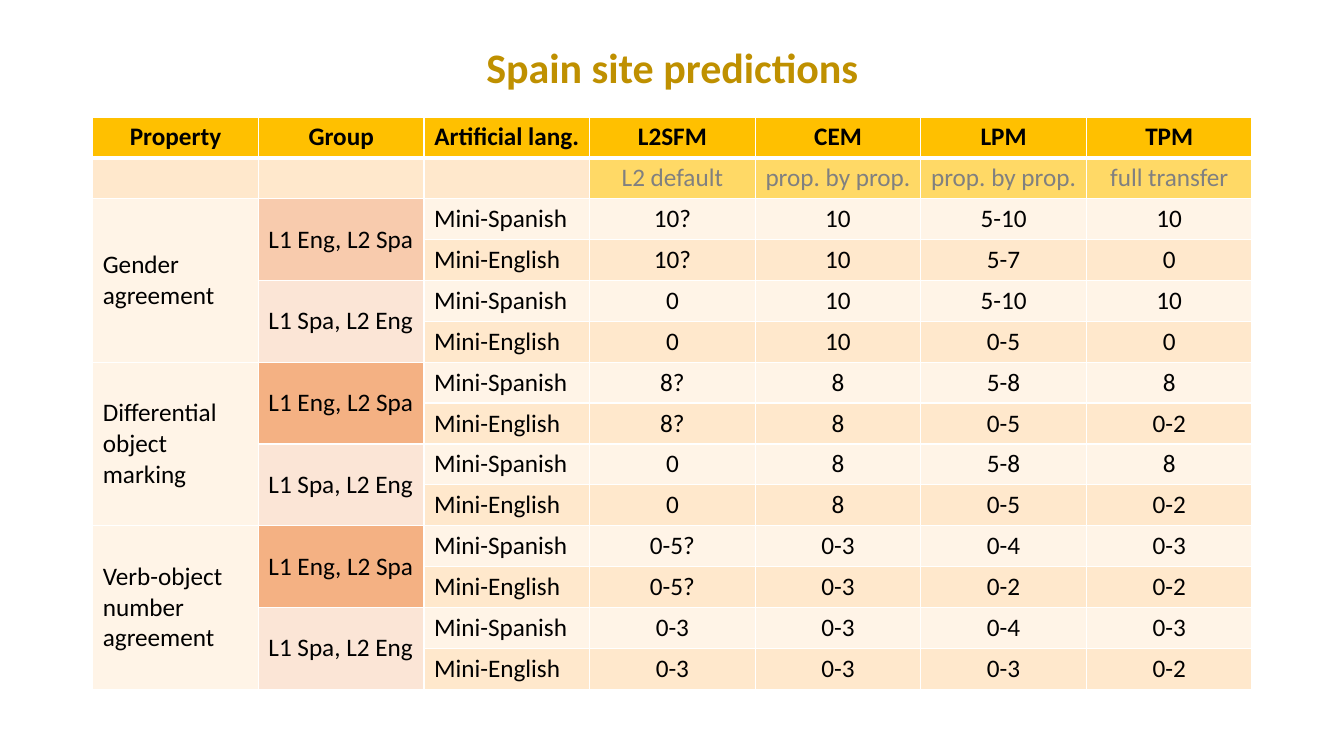
from lxml.etree import SubElement
from pptx import Presentation
from pptx.dml.color import RGBColor
from pptx.enum.text import MSO_ANCHOR as Anchor, PP_ALIGN as Align
from pptx.oxml.ns import qn
from pptx.util import Inches, Pt

FONT = "Calibri"
BLACK, GREY, WHITE, TITLE_GOLD = "000000", "808080", "FFFFFF", "BF9000"
HEADER_FILL, MODEL_FILL = "FFC000", "FFD966"
LIGHT_BAND, DARK_BAND = "FFF4E7", "FFE8CC"
PALE_GROUP, SOFT_GROUP, STRONG_GROUP = "FBE5D6", "F8CBAD", "F4B183"

HEADERS = ["Property", "Group", "Artificial lang.", "L2SFM", "CEM", "LPM", "TPM"]
MODEL_NOTES = ["L2 default", "prop. by prop.", "prop. by prop.", "full transfer"]
LANGUAGES = ["Mini-Spanish", "Mini-English"]

# Property lines, fill of the first group, scores by group and language
PROPERTIES = [
    (["Gender agreement"], SOFT_GROUP, [
        ["10?", "10", "5-10", "10"],
        ["10?", "10", "5-7", "0"],
        ["0", "10", "5-10", "10"],
        ["0", "10", "0-5", "0"],
    ]),
    (["Differential", "object", "marking"], STRONG_GROUP, [
        ["8?", "8", "5-8", "8"],
        ["8?", "8", "0-5", "0-2"],
        ["0", "8", "5-8", "8"],
        ["0", "8", "0-5", "0-2"],
    ]),
    (["Verb-object number agreement"], STRONG_GROUP, [
        ["0-5?", "0-3", "0-4", "0-3"],
        ["0-5?", "0-3", "0-2", "0-2"],
        ["0-3", "0-3", "0-4", "0-3"],
        ["0-3", "0-3", "0-3", "0-2"],
    ]),
]
ROWS, COLUMNS = 14, len(HEADERS)
LEFT, WIDTH = Inches(0.92), Inches(11.5)


def color(value):
    return RGBColor.from_string(value)


def write(frame, lines, size=18, ink=BLACK, bold=False, align=Align.LEFT):
    for index, line in enumerate(lines):
        para = frame.paragraphs[0] if index == 0 else frame.add_paragraph()
        para.alignment = align
        span = para.add_run()
        span.text = line
        span.font.name = FONT
        span.font.size = Pt(size)
        span.font.bold = bold
        span.font.color.rgb = color(ink)


def fill_cell(cell, value):
    cell.fill.solid()
    cell.fill.fore_color.rgb = color(value)


def add_borders(cell, top=1, bottom=1):
    properties = cell._tc.get_or_add_tcPr()
    widths = {"a:lnL": 1, "a:lnR": 1, "a:lnT": top, "a:lnB": bottom}
    for index, (side, width) in enumerate(widths.items()):
        line = SubElement(properties, qn(side), w=str(Pt(width)))
        paint = SubElement(line, qn("a:solidFill"))
        SubElement(paint, qn("a:srgbClr"), val=WHITE)
        properties.insert(index, line)


def merge_down(table, row, column, count, lines, fill):
    cell = table.cell(row, column)
    cell.merge(table.cell(row + count - 1, column))
    cell.vertical_anchor = Anchor.MIDDLE
    fill_cell(cell, fill)
    write(cell.text_frame, lines)


def add_title(slide, text):
    box = slide.shapes.add_textbox(LEFT, Inches(0.36), WIDTH, Inches(0.61))
    box.text_frame.word_wrap = True
    write(box.text_frame, [text], 30, TITLE_GOLD, True, Align.CENTER)


def add_grid(slide):
    height = Inches(5.68)
    table = slide.shapes.add_table(ROWS, COLUMNS, LEFT, Inches(1.16), WIDTH, height).table
    table.first_row = table.horz_banding = False
    for column in table.columns:
        column.width = WIDTH // COLUMNS
    for index, row in enumerate(table.rows):
        row.height = height // ROWS
        for cell in row.cells:
            fill_cell(cell, DARK_BAND if index % 2 else LIGHT_BAND)
            add_borders(cell, 3 if index == 1 else 1, 3 if index == 0 else 1)
    return table


def add_headings(table):
    for column, label in enumerate(HEADERS):
        cell = table.cell(0, column)
        fill_cell(cell, HEADER_FILL)
        write(cell.text_frame, [label], bold=True, align=Align.CENTER)
    for column, note in enumerate(MODEL_NOTES, 3):
        cell = table.cell(1, column)
        fill_cell(cell, MODEL_FILL)
        write(cell.text_frame, [note], ink=GREY, align=Align.CENTER)


def add_property(table, top, lines, group_fill, scores):
    merge_down(table, top, 0, 4, lines, LIGHT_BAND)
    merge_down(table, top, 1, 2, ["L1 Eng, L2 Spa"], group_fill)
    merge_down(table, top + 2, 1, 2, ["L1 Spa, L2 Eng"], PALE_GROUP)
    for offset, values in enumerate(scores):
        write(table.cell(top + offset, 2).text_frame, [LANGUAGES[offset % 2]])
        for column, value in enumerate(values, 3):
            write(table.cell(top + offset, column).text_frame, [value], align=Align.CENTER)


def main():
    deck = Presentation()
    deck.slide_width, deck.slide_height = Inches(13.33), Inches(7.5)
    slide = deck.slides.add_slide(deck.slide_layouts[6])

    # Predictions table
    table = add_grid(slide)
    add_headings(table)
    for index, (lines, group_fill, scores) in enumerate(PROPERTIES):
        add_property(table, 2 + 4 * index, lines, group_fill, scores)

    # Title
    add_title(slide, "Spain site predictions")
    deck.save("out.pptx")


if __name__ == "__main__":
    main()
